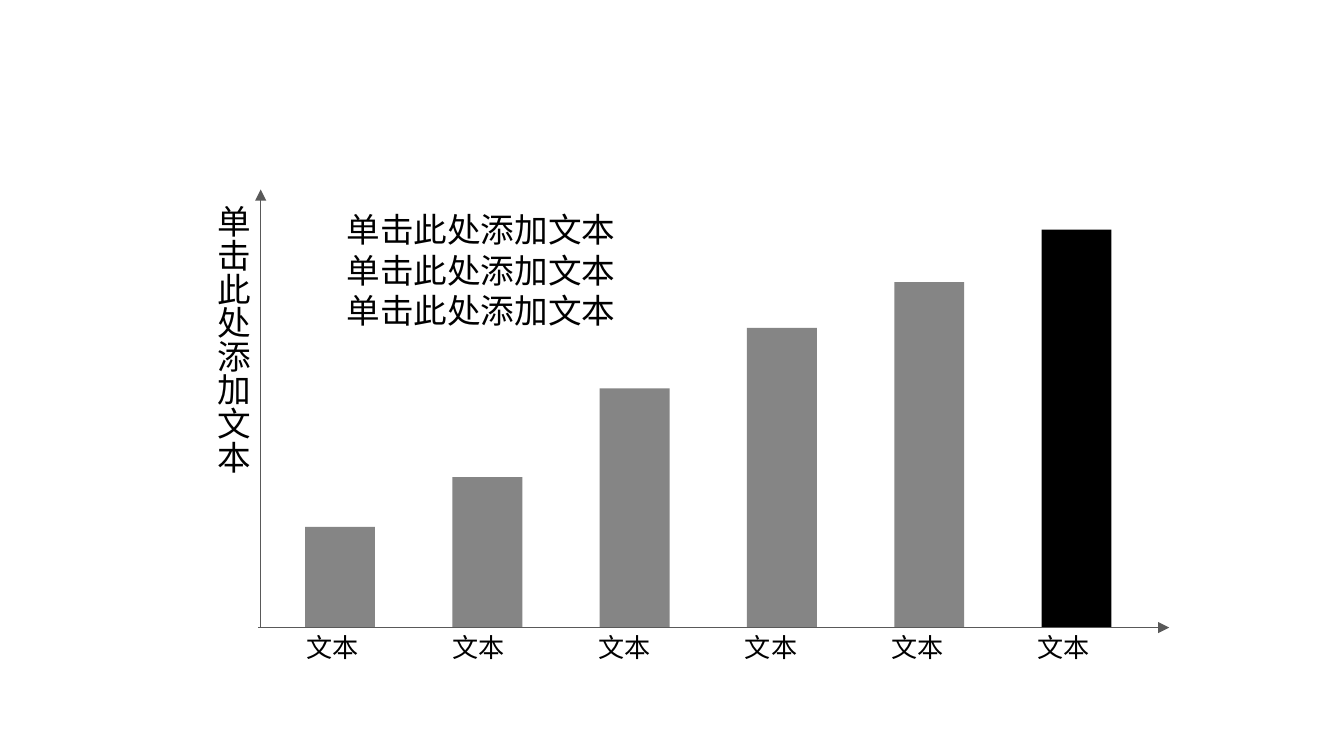
from lxml import etree
from pptx import Presentation
from pptx.dml.color import RGBColor
from pptx.enum import shapes, text
from pptx.oxml import ns
from pptx.util import Inches, Pt

COLORS = {"bar": "858585", "highlight": "000000", "axis": "595959", "text": "000000"}
FONT = "Noto Sans CJK SC"
PROMPT = "单击此处添加文本"
LABEL = "文本"

BASELINE = 4.67
BAR_WIDTH = 0.52
BAR_LEFT, BAR_RIGHT = 2.27, 7.75
LABEL_LEFT, LABEL_RIGHT = 2.18, 7.62
BAR_HEIGHTS = [0.75, 1.12, 1.78, 2.23, 2.57, 2.96]


def color(name):
    return RGBColor.from_string(COLORS[name])


def add_bar(page, left, height, fill):
    bar = page.shapes.add_shape(
        shapes.MSO_SHAPE.RECTANGLE,
        Inches(left), Inches(BASELINE - height), Inches(BAR_WIDTH), Inches(height),
    )
    bar.shadow.inherit = False
    bar.fill.solid()
    bar.fill.fore_color.rgb = color(fill)
    bar.line.fill.background()


def add_axis(page, start, end):
    points = [Inches(value) for value in (*start, *end)]
    axis = page.shapes.add_connector(shapes.MSO_CONNECTOR.STRAIGHT, *points)
    axis.line.color.rgb = color("axis")
    axis.line.width = Pt(0.75)
    # Arrowhead at the end, and no theme shadow
    outline = axis.line._get_or_add_ln()
    etree.SubElement(outline, ns.qn("a:tailEnd"), type="triangle")
    etree.SubElement(axis._element.spPr, ns.qn("a:effectLst"))


def add_text(page, lines, area, size, pitch, vertical=False):
    box = page.shapes.add_textbox(*[Inches(value) for value in area])
    frame = box.text_frame
    frame_format = {"word_wrap": False, "auto_size": text.MSO_AUTO_SIZE.SHAPE_TO_FIT_TEXT}
    for name, value in frame_format.items():
        setattr(frame, name, value)
    if vertical:
        frame._txBody.bodyPr.set("vert", "eaVert")
    font_format = {"size": Pt(size), "name": FONT}
    for index, line in enumerate(lines):
        para = frame.add_paragraph() if index else frame.paragraphs[0]
        para.line_spacing = Pt(pitch)
        span = para.add_run()
        span.text = line
        for name, value in font_format.items():
            setattr(span.font, name, value)
        span.font.color.rgb = color("text")
        etree.SubElement(span.font._element, ns.qn("a:ea"), typeface=FONT)


def main():
    deck = Presentation()
    # Widescreen, 16 to 9
    deck.slide_width = Inches(10)
    deck.slide_height = deck.slide_width * 9 // 16
    page = deck.slides.add_slide(deck.slide_layouts[6])

    # Rising bars, the last one highlighted
    last = len(BAR_HEIGHTS) - 1
    bar_step = (BAR_RIGHT - BAR_LEFT) / last
    for index, height in enumerate(BAR_HEIGHTS):
        fill = "highlight" if index == last else "bar"
        add_bar(page, BAR_LEFT + index * bar_step, height, fill)

    # Axes
    add_axis(page, (1.94, BASELINE), (1.94, 1.41))
    add_axis(page, (1.92, BASELINE), (8.7, BASELINE))

    # Labels under the bars
    label_step = (LABEL_RIGHT - LABEL_LEFT) / last
    for index in range(len(BAR_HEIGHTS)):
        left = LABEL_LEFT + index * label_step
        add_text(page, [LABEL], (left, 4.64, 0.59, 0.34), 14, 17.3)

    # Axis title and notes
    add_text(page, [PROMPT], (1.43, 1.43, 0.5, 2.23), 18, 21.5, vertical=True)
    add_text(page, [PROMPT] * 3, (2.48, 1.51, 2.22, 1.01), 18, 21.5)

    deck.save("out.pptx")


if __name__ == "__main__":
    main()
